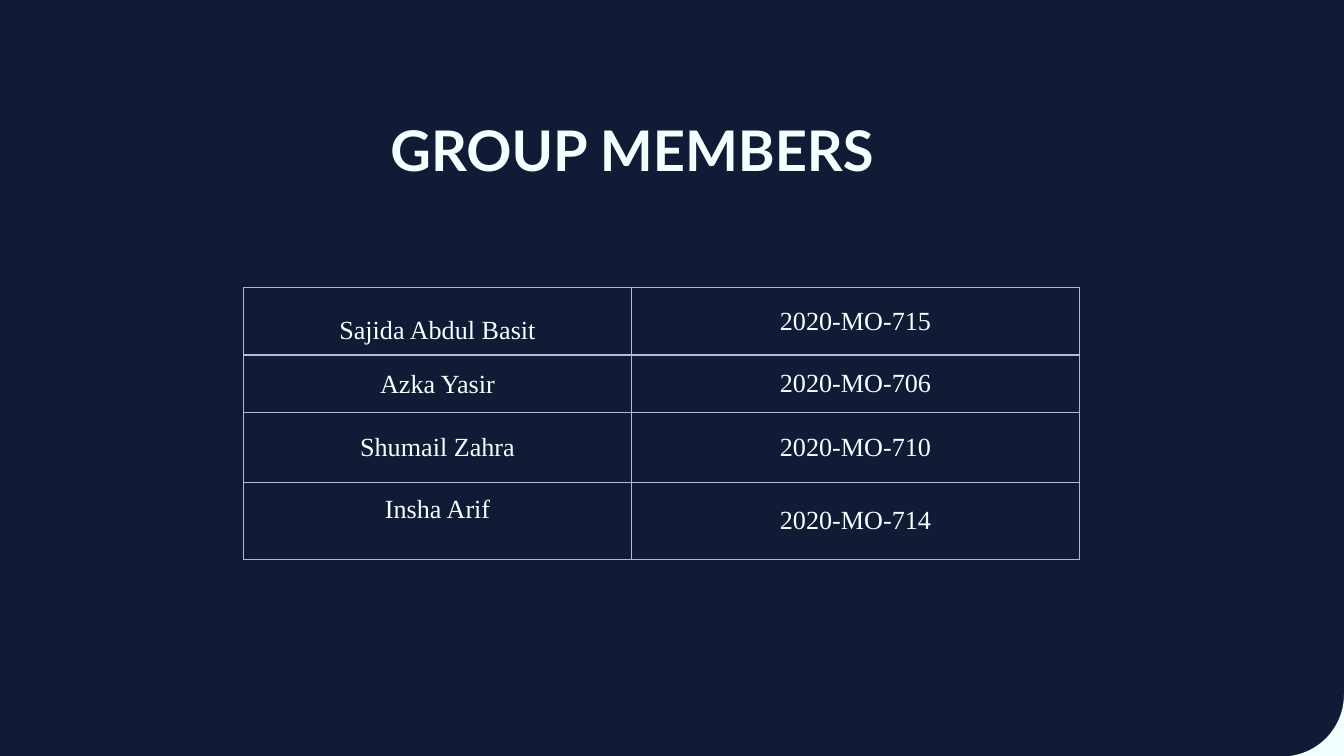
import lxml.etree
import pptx
import pptx.dml.color
import pptx.enum.shapes
import pptx.enum.text
import pptx.oxml.ns
import pptx.util

Cm = pptx.util.Cm
Pt = pptx.util.Pt
ALIGN = pptx.enum.text.PP_ALIGN
ANCHOR = pptx.enum.text.MSO_ANCHOR
COLORS = {"background": "111B36", "text": "F4FFFF", "outline": "12FFF1", "grid": "B4BCD6"}


def rgb(name):
    return pptx.dml.color.RGBColor.from_string(COLORS[name])


def add_border(cell, side, color):
    qn = pptx.oxml.ns.qn
    properties = cell._tc.get_or_add_tcPr()
    line = lxml.etree.SubElement(properties, qn("a:" + side), w=str(Pt(0.75)))
    fill = lxml.etree.SubElement(line, qn("a:solidFill"))
    lxml.etree.SubElement(fill, qn("a:srgbClr"), val=COLORS[color])


presentation = pptx.Presentation()
presentation.slide_width = Cm(25.4)
presentation.slide_height = Cm(14.29)
slide = presentation.slides.add_slide(presentation.slide_layouts[5])
slide.background.fill.solid()
slide.background.fill.fore_color.rgb = rgb("background")

corner = slide.shapes.add_shape(
    pptx.enum.shapes.MSO_SHAPE.PLAQUE, Cm(24.23), Cm(13.13), Cm(2.34), Cm(2.34))
corner.adjustments[0] = 0.5
corner.shadow.inherit = False
corner.fill.solid()
corner.fill.fore_color.rgb = rgb("text")
corner.line.fill.background()

title = slide.shapes.title
title_box = {"left": Cm(1.37), "top": Cm(1.93), "width": Cm(21.41), "height": Cm(1.6)}
for name, value in title_box.items():
    setattr(title, name, value)
title_frame = {
    "text": "GROUP MEMBERS ",
    "word_wrap": True,
    "auto_size": pptx.enum.text.MSO_AUTO_SIZE.NONE,
    "vertical_anchor": ANCHOR.TOP,
    "margin_left": Cm(0.25),
    "margin_right": Cm(0.25),
    "margin_top": Cm(0.25),
    "margin_bottom": Cm(0.25),
}
for name, value in title_frame.items():
    setattr(title.text_frame, name, value)
paragraph = title.text_frame.paragraphs[0]
paragraph.alignment = ALIGN.CENTER
for name, value in {"name": "Lato", "size": Pt(30), "bold": True}.items():
    setattr(paragraph.runs[0].font, name, value)
paragraph.runs[0].font.color.rgb = rgb("text")

members = [
    ("Sajida Abdul Basit", "2020-MO-715"),
    ("Azka Yasir", "2020-MO-706"),
    ("Shumail Zahra", "2020-MO-710"),
    ("Insha Arif", "2020-MO-714"),
]
column_widths = [7.34, 8.46]
row_heights = [1.27, 1.09, 1.32, 1.45]
table = slide.shapes.add_table(
    len(members), 2, Cm(4.6), Cm(5.44), Cm(sum(column_widths)), Cm(sum(row_heights))).table
table.first_row = False
table.horz_banding = False
for column, width in zip(table.columns, column_widths):
    column.width = Cm(width)
for row, height in zip(table.rows, row_heights):
    row.height = Cm(height)

cell_format = {
    "vertical_anchor": ANCHOR.MIDDLE,
    "margin_left": Cm(0.25),
    "margin_right": Cm(0.25),
    "margin_top": Cm(0.25),
    "margin_bottom": Cm(0.25),
}
special_cells = {
    (0, 0): {"vertical_anchor": ANCHOR.TOP, "margin_left": Cm(0.18), "margin_right": Cm(0.18),
             "margin_top": 0, "margin_bottom": 0},
    (3, 0): {"vertical_anchor": ANCHOR.TOP},
}
line_spacings = {(0, 0): 2.0, (1, 0): 1.03}
last_row = len(members) - 1
for row_index, member in enumerate(members):
    for column_index, text in enumerate(member):
        position = (row_index, column_index)
        cell = table.cell(row_index, column_index)
        outer_sides = {"lnL": column_index == 0, "lnR": column_index == 1,
                       "lnT": row_index == 0, "lnB": row_index == last_row}
        for side, is_outer in outer_sides.items():
            add_border(cell, side, "outline" if is_outer else "grid")
        cell.fill.background()
        cell.text = text
        for name, value in (cell_format | special_cells.get(position, {})).items():
            setattr(cell, name, value)
        paragraph = cell.text_frame.paragraphs[0]
        paragraph.alignment = ALIGN.CENTER
        if position in line_spacings:
            paragraph.line_spacing = line_spacings[position]
        for name, value in {"name": "Times New Roman", "size": Pt(14), "bold": False}.items():
            setattr(paragraph.runs[0].font, name, value)
        paragraph.runs[0].font.color.rgb = rgb("text")

presentation.save("out.pptx")
